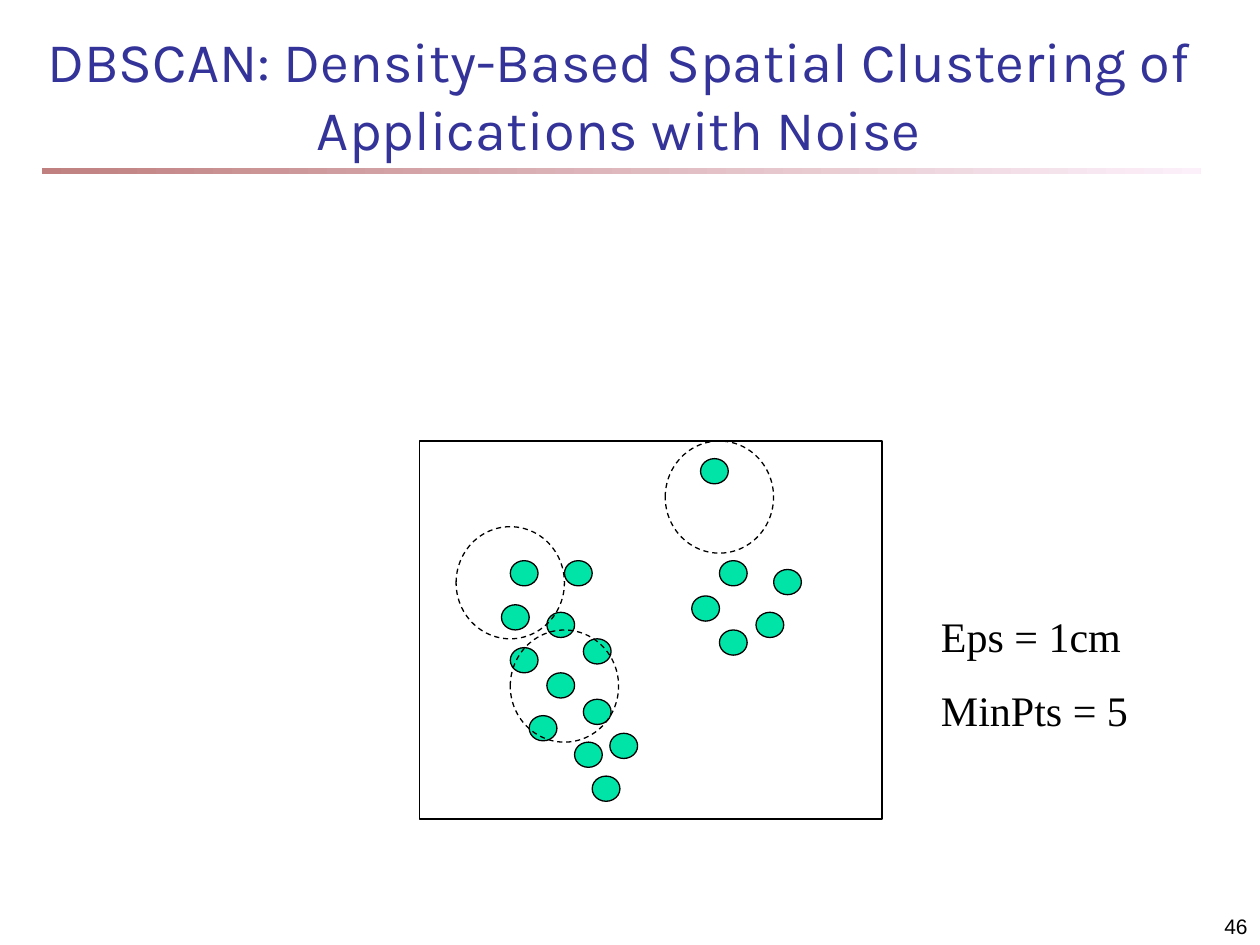
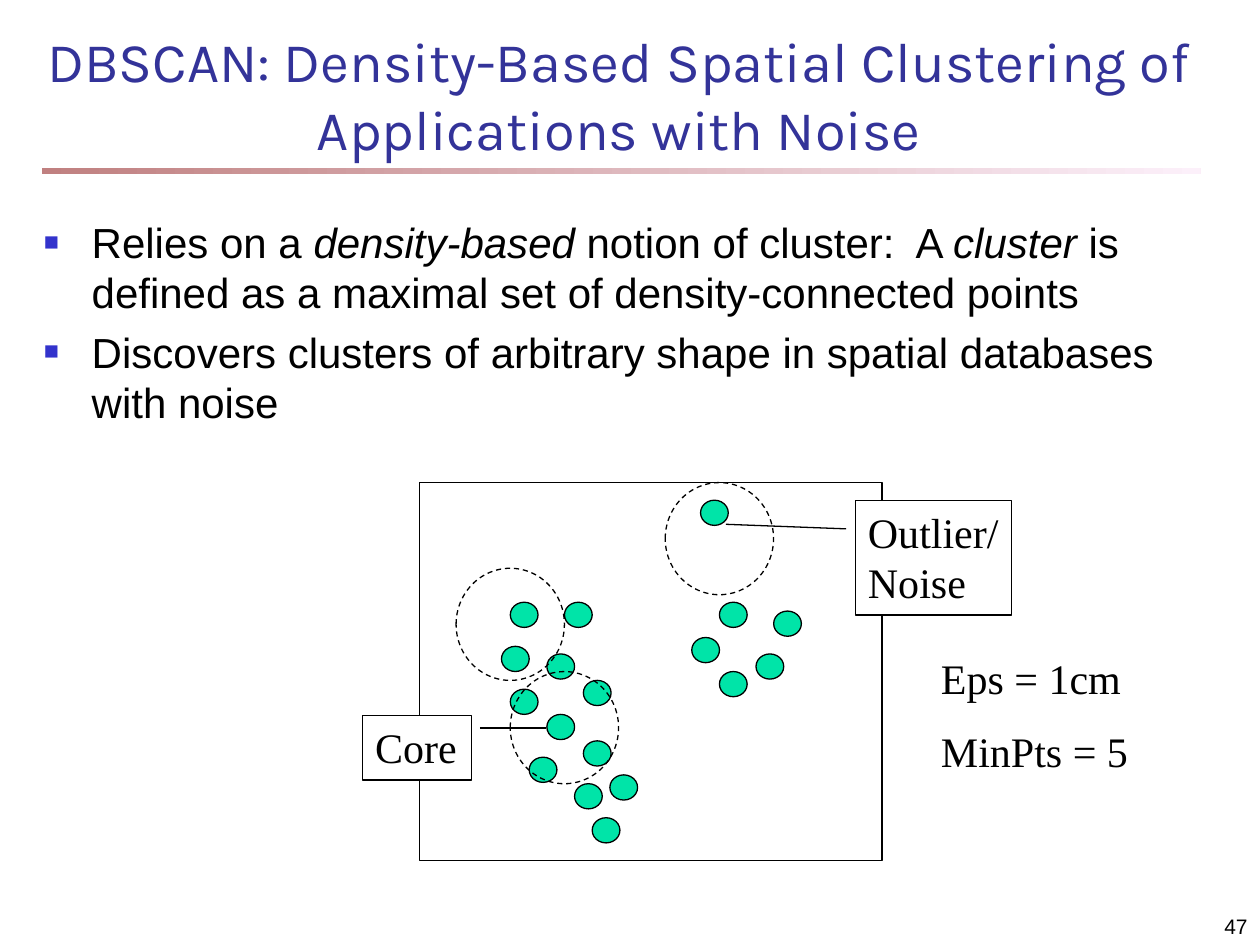
"""Build two slides that explain DBSCAN clustering."""
from dataclasses import dataclass

from lxml import etree
from pptx import Presentation
from pptx import util as u
from pptx.dml.color import RGBColor
from pptx.enum import dml, shapes, text
from pptx.oxml import ns


@dataclass(frozen=True)
class Theme:
    """Colours, fonts and type sizes shared by the slides."""
    title: str = "333399"
    ink: str = "000000"
    paper: str = "FFFFFF"
    point: str = "00E4A8"
    bullet: str = "3333CC"
    band_start: str = "C08080"
    band_end: str = "FCF0FA"
    title_font: str = "Karla"
    body_font: str = "Arial"
    diagram_font: str = "Times New Roman"
    title_size: int = 32
    body_size: int = 24
    number_size: int = 12
    line_width: float = 0.75


@dataclass(frozen=True)
class Box:
    """A rectangle in inches."""
    left: float
    top: float
    width: float
    height: float

    def lengths(self) -> tuple:
        """Return the four sides as lengths."""
        return tuple(u.Inches(side) for side in (self.left, self.top, self.width, self.height))


@dataclass(frozen=True)
class Callout:
    """A label placed relative to the frame, with its leader line."""
    label: str
    box: Box
    leader: tuple[float, ...]


@dataclass(frozen=True)
class SlideContent:
    """What differs from one slide to the next."""
    number: int
    frame_top: float
    bullets: tuple = ()
    callouts: tuple[Callout, ...] = ()


THEME = Theme()
TITLE = "DBSCAN: Density-Based Spatial Clustering of Applications with Noise"
TITLE_BOX = Box(0.25, 0.25, 9.33, 1.08)
BAND_BOX = Box(0.33, 1.33, 9.2, 0.05)
BODY_BOX = Box(0.25, 1.67, 9.33, 5.5)
NUMBER_BOX = Box(7.92, 7.08, 2.08, 0.42)
FRAME_LEFT, FRAME_SIZE = 3.33, (3.67, 3)
POINT_SIZE = (0.22, 0.2)
POINTS = (
    (0.72, 0.95), (0.65, 1.3), (1.01, 1.36), (1.15, 0.95), (1.3, 1.57), (0.72, 1.64),
    (1.01, 1.84), (0.87, 2.18), (1.23, 2.39), (1.37, 2.66), (1.3, 2.05), (1.51, 2.32),
    (2.23, 0.14), (2.38, 0.95), (2.16, 1.23), (2.67, 1.36), (2.81, 1.02), (2.38, 1.5),
)
NEIGHBOURHOOD_SIZE = (0.86, 0.89)
NEIGHBOURHOODS = ((0.29, 0.68), (0.72, 1.5), (1.95, 0))
PARAMETERS = ("Eps = 1cm", "MinPts = 5")
PARAMETERS_BOX = Box(4.04, 1.3, 1.8, 1.1)
SLIDES = (
    SlideContent(46, 3.5),
    SlideContent(
        47, 3.83,
        bullets=(
            (("Relies on a ", False), ("density-based", True), (" notion of cluster:  A ", False),
             ("cluster", True), (" is defined as a maximal set of density-connected points", False)),
            (("Discovers clusters of arbitrary shape in spatial databases with noise", False),),
        ),
        callouts=(
            Callout("Core", Box(-0.45, 1.85, 0.86, 0.51), (0.19, 1.08, 0.19, 1.69)),
            Callout("Outlier/ Noise", Box(3.46, 0.14, 1.24, 0.91), (0.25, -0.06, 0.21, -0.83)),
        ),
    ),
)


def colour(value: str) -> RGBColor:
    """Turn a hex value into a colour."""
    return RGBColor.from_string(value)


def style_text(shape, font: str, size: int, value: str = THEME.ink,
               align=text.PP_ALIGN.LEFT, space_before: float = 0) -> None:
    """Format every paragraph and run of a shape."""
    shape.text_frame.word_wrap = True
    for index, paragraph in enumerate(shape.text_frame.paragraphs):
        paragraph.alignment = align
        paragraph.space_before = u.Pt(space_before if index else 0)
        for run in paragraph.runs:
            run.font.name = font
            run.font.size = u.Pt(size)
            run.font.color.rgb = colour(value)


def add_text(parent, box: Box, wording: str, anchor=text.MSO_ANCHOR.TOP):
    """Add a text box holding the wording."""
    shape = parent.shapes.add_textbox(*box.lengths())
    shape.text_frame.text = wording
    shape.text_frame.vertical_anchor = anchor
    return shape


def add_outlined(parent, kind, box: Box, fill: str | None = None, dashed: bool = False):
    """Add a preset shape with a thin outline."""
    shape = parent.shapes.add_shape(kind, *box.lengths())
    shape.shadow.inherit = False
    if fill:
        shape.fill.solid()
        shape.fill.fore_color.rgb = colour(fill)
    else:
        shape.fill.background()
    shape.line.color.rgb = colour(THEME.ink)
    shape.line.width = u.Pt(THEME.line_width)
    if dashed:
        shape.line.dash_style = dml.MSO_LINE.DASH
    return shape


def add_band(slide) -> None:
    """Draw the fading band below the title."""
    band = slide.shapes.add_shape(shapes.MSO_SHAPE.RECTANGLE, *BAND_BOX.lengths())
    band.shadow.inherit = False
    band.line.fill.background()
    band.fill.gradient()
    band.fill.gradient_angle = 0
    for stop, position, value in zip(band.fill.gradient_stops, (0, 1),
                                     (THEME.band_start, THEME.band_end)):
        stop.position = position
        stop.color.rgb = colour(value)


def add_bullet_mark(paragraph) -> None:
    """Give a paragraph a small square bullet with a hanging indent."""
    properties = paragraph._p.get_or_add_pPr()
    indent = u.Inches(0.38)
    properties.set("marL", str(indent))
    properties.set("indent", str(-indent))
    bullet_colour = etree.SubElement(properties, ns.qn("a:buClr"))
    etree.SubElement(bullet_colour, ns.qn("a:srgbClr"), val=THEME.bullet)
    etree.SubElement(properties, ns.qn("a:buSzPct"), val="60000")
    etree.SubElement(properties, ns.qn("a:buFont"), typeface=THEME.body_font)
    etree.SubElement(properties, ns.qn("a:buChar"), char="■")


def add_bullets(slide, bullets: tuple) -> None:
    """Write the bulleted body text."""
    body = add_text(slide, BODY_BOX, "")
    for index, pieces in enumerate(bullets):
        frame = body.text_frame
        paragraph = frame.add_paragraph() if index else frame.paragraphs[0]
        add_bullet_mark(paragraph)
        for wording, italic in pieces:
            run = paragraph.add_run()
            run.text = wording
            run.font.italic = italic
    style_text(body, THEME.body_font, THEME.body_size, space_before=5)


def add_diagram(slide, content: SlideContent) -> None:
    """Draw the points, neighbourhoods, labels and parameters."""
    group = slide.shapes.add_group_shape()

    def placed(left: float, top: float, width: float, height: float) -> Box:
        """Move a box from frame to slide coordinates."""
        return Box(FRAME_LEFT + left, content.frame_top + top, width, height)

    for point in POINTS:
        add_outlined(group, shapes.MSO_SHAPE.OVAL, placed(*point, *POINT_SIZE), THEME.point)
    add_outlined(group, shapes.MSO_SHAPE.RECTANGLE, placed(0, 0, *FRAME_SIZE))
    for corner in NEIGHBOURHOODS:
        add_outlined(group, shapes.MSO_SHAPE.OVAL, placed(*corner, *NEIGHBOURHOOD_SIZE), dashed=True)
    for callout in content.callouts:
        box = callout.box
        label = add_outlined(group, shapes.MSO_SHAPE.LINE_CALLOUT_1,
                             placed(box.left, box.top, box.width, box.height), THEME.paper)
        for index, value in enumerate(callout.leader):
            label.adjustments[index] = value
        label.text_frame.text = callout.label
        label.text_frame.vertical_anchor = text.MSO_ANCHOR.TOP
        style_text(label, THEME.diagram_font, THEME.body_size)
    box = PARAMETERS_BOX
    parameters = add_text(group, placed(box.left, box.top, box.width, box.height),
                          "\n".join(PARAMETERS))
    style_text(parameters, THEME.diagram_font, THEME.body_size, space_before=13)


def add_slide(presentation, content: SlideContent) -> None:
    """Build one slide."""
    slide = presentation.slides.add_slide(presentation.slide_layouts[6])
    add_band(slide)
    title = add_text(slide, TITLE_BOX, TITLE, text.MSO_ANCHOR.BOTTOM)
    style_text(title, THEME.title_font, THEME.title_size, THEME.title, text.PP_ALIGN.CENTER)
    if content.bullets:
        add_bullets(slide, content.bullets)
    add_diagram(slide, content)
    number = add_text(slide, NUMBER_BOX, str(content.number), text.MSO_ANCHOR.BOTTOM)
    style_text(number, THEME.body_font, THEME.number_size, align=text.PP_ALIGN.RIGHT)


def main() -> None:
    """Build and save the presentation."""
    presentation = Presentation()
    presentation.slide_width = u.Inches(10)
    presentation.slide_height = u.Inches(7.5)
    for content in SLIDES:
        add_slide(presentation, content)
    presentation.save("out.pptx")


if __name__ == "__main__":
    main()
